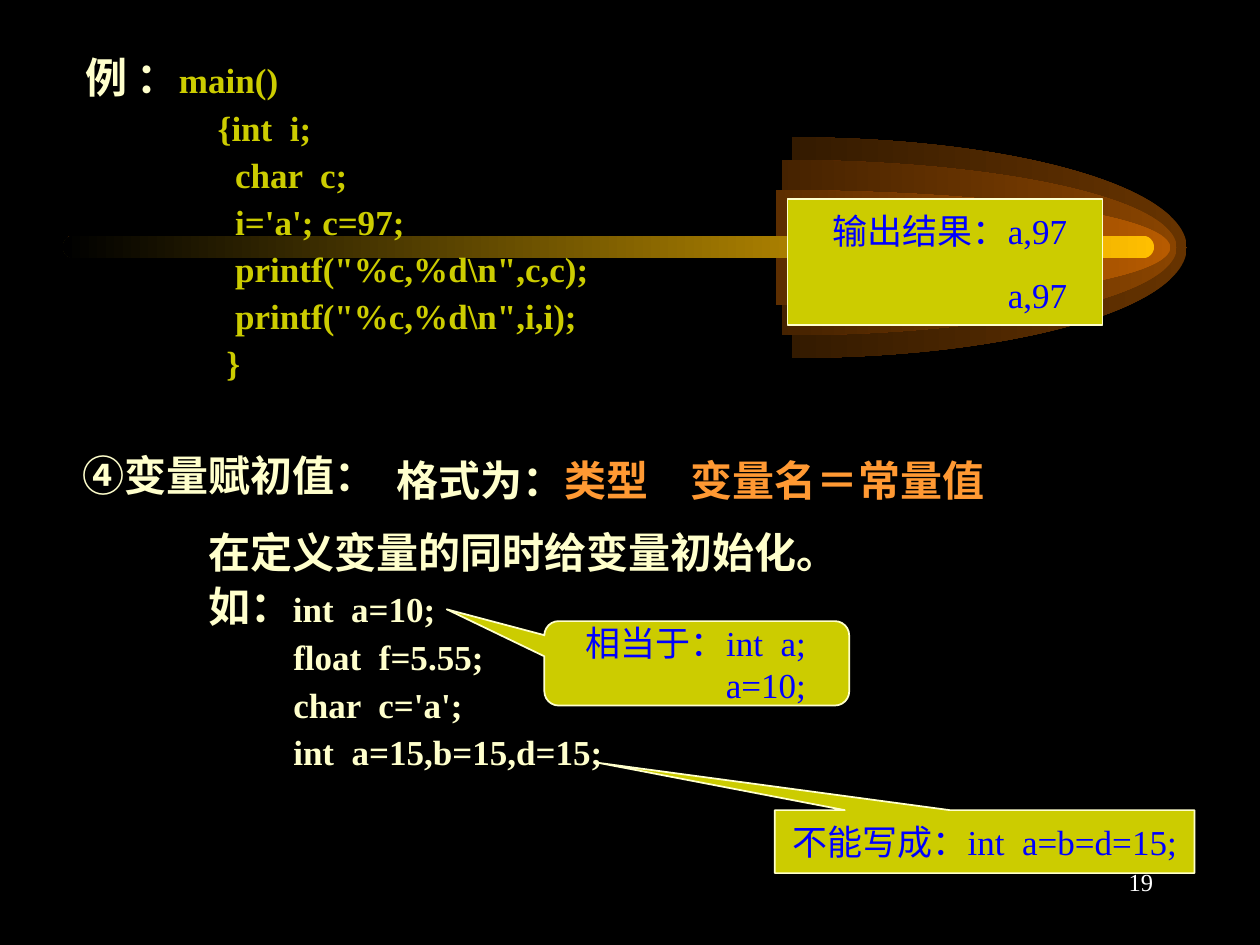
import pptx
import pptx.util
from pptx.dml.color import RGBColor
from pptx.enum.shapes import MSO_SHAPE
from pptx.enum.text import MSO_ANCHOR, PP_ALIGN
from pptx.util import Inches

COLORS = {
    "black": "000000", "cream": "FFFFCC", "olive": "CCCC00",
    "blue": "0000FF", "orange": "FF9933", "white": "FFFFFF", "gold": "FFBF00",
    "outer": "663300", "middle": "894400", "inner": "B75B00",
}
# Comet layers, back to front: box and colour
COMET = [
    ((3.16, 1.09, 6.26, 1.75), "outer"),
    ((3.08, 1.27, 6.26, 1.39), "middle"),
    ((3.03, 1.51, 6.26, 0.91), "inner"),
]


def rgb(name):
    return RGBColor.from_string(COLORS[name])


def add_text(p, text, size=20, color="cream", bold=False):
    r = p.add_run()
    r.text = text
    r.font.name = "Times New Roman"
    r.font.size = pptx.util.Pt(size)
    r.font.bold = bold
    r.font.color.rgb = rgb(color)


def add_par(tf, runs, before=0, spacing=None, indent=0, align=PP_ALIGN.LEFT, **fmt):
    """Append a paragraph; runs is a list of (text, format overrides)."""
    first = not tf.paragraphs[0].runs
    p = tf.paragraphs[0] if first else tf.add_paragraph()
    p.alignment = align
    p.space_before = pptx.util.Pt(0 if first else before)
    if spacing:
        p.line_spacing = spacing
    if indent:
        p._p.get_or_add_pPr().set("marL", str(Inches(indent)))
    for text, own in runs:
        add_text(p, text, **{**fmt, **own})


def add_box(s, box):
    tf = s.shapes.add_textbox(*map(Inches, box)).text_frame
    tf.word_wrap = True
    return tf


def add_faded(s, shape, box, color, adj):
    """Shape that fades from black on the left to a colour on the right."""
    sp = s.shapes.add_shape(shape, *map(Inches, box))
    for i, value in enumerate(adj):
        sp.adjustments[i] = value
    sp.shadow.inherit = False
    sp.line.fill.background()
    sp.fill.gradient()
    sp.fill.gradient_angle = 180
    for stop, name in zip(sp.fill.gradient_stops, (color, "black")):
        stop.color.rgb = rgb(name)


def add_comet(s, tail):
    # Arc angles are in 60000ths of a degree, over 100000: 270 to 90 degrees
    for box, color in COMET:
        add_faded(s, MSO_SHAPE.ARC, box, color, (162, 54))
    add_faded(s, MSO_SHAPE.ROUNDED_RECTANGLE, tail, "gold", (0.5,))


def add_note(s, shape, box, lines, adj=(), align=PP_ALIGN.RIGHT, before=0, inset=0.1):
    """Olive box or callout with blue text."""
    sp = s.shapes.add_shape(shape, *map(Inches, box))
    for i, value in enumerate(adj):
        sp.adjustments[i] = value
    sp.shadow.inherit = False
    sp.fill.solid()
    sp.fill.fore_color.rgb = rgb("olive")
    sp.line.color.rgb = rgb("cream")
    sp.line.width = pptx.util.Pt(1)
    tf = sp.text_frame
    tf.word_wrap = align != PP_ALIGN.CENTER
    tf.vertical_anchor = MSO_ANCHOR.MIDDLE
    tf.margin_right = Inches(inset)
    for line in lines:
        add_par(tf, [(line, {})], before, align=align, color="blue")


def add_example(s, box):
    tf = add_box(s, box)
    fmt = dict(before=12.5, spacing=0.6, color="olive", bold=True)
    add_par(tf, [("例 ：", dict(size=24, color="cream")), ("main()", {})], **fmt)
    for line in ("{int  i;", "  char  c;", "  i='a'; c=97;",
                 '  printf("%c,%d\\n",c,c);', '  printf("%c,%d\\n",i,i);', " }"):
        add_par(tf, [(line, {})], indent=1.05, **fmt)


def add_initial_values(s, box):
    tf = add_box(s, box)
    big = dict(size=24, bold=True)
    code = dict(before=12.5, spacing=0.6, bold=True)
    add_par(tf, [("④变量赋初值：", {})], **big)
    add_par(tf, [("在定义变量的同时给变量初始化。", {})], before=15, indent=1, **big)
    add_par(tf, [("如：", dict(size=24)), ("int  a=10;", {})], indent=1, **code)
    for line in ("float  f=5.55;", "char  c='a';", "int  a=15,b=15,d=15;"):
        add_par(tf, [(line, {})], indent=1.67, **code)


def add_format_rule(s, box):
    add_par(add_box(s, box),
            [("格式为：", {}), ("类型　变量名＝常量值", dict(color="orange"))],
            size=24, bold=True)


def add_page_number(s, box):
    add_par(add_box(s, box), [("19", {})], align=PP_ALIGN.RIGHT, size=14, color="white")


def main():
    prs = pptx.Presentation()
    prs.slide_width, prs.slide_height = Inches(10), Inches(7.5)
    s = prs.slides.add_slide(prs.slide_layouts[6])
    s.background.fill.solid()
    s.background.fill.fore_color.rgb = rgb("black")

    # Backdrop
    add_comet(s, (0.5, 1.87, 8.66, 0.18))

    # Example program and its output
    add_example(s, (0.58, 0.5, 4.57, 2.58))
    add_note(s, MSO_SHAPE.RECTANGLE, (6.25, 1.58, 2.5, 1),
             ["输出结果：a,97", "a,97"], before=12.5, inset=0.28)

    # Initial values with callouts
    add_initial_values(s, (0.56, 3.52, 9, 2.65))
    add_note(s, MSO_SHAPE.RECTANGULAR_CALLOUT, (6.15, 6.43, 3.33, 0.5),
             ["不能写成：int  a=b=d=15;"], (-0.92, -1.25), PP_ALIGN.CENTER)
    add_format_rule(s, (3.05, 3.56, 5, 0.5))
    add_note(s, MSO_SHAPE.ROUNDED_RECTANGULAR_CALLOUT, (4.32, 4.93, 2.42, 0.67),
             ["相当于：int  a;", "a=10;"], (-0.82, -0.64, 0.17), inset=0.31)

    add_page_number(s, (7.17, 6.83, 2.08, 0.5))
    prs.save("out.pptx")


if __name__ == "__main__":
    main()
